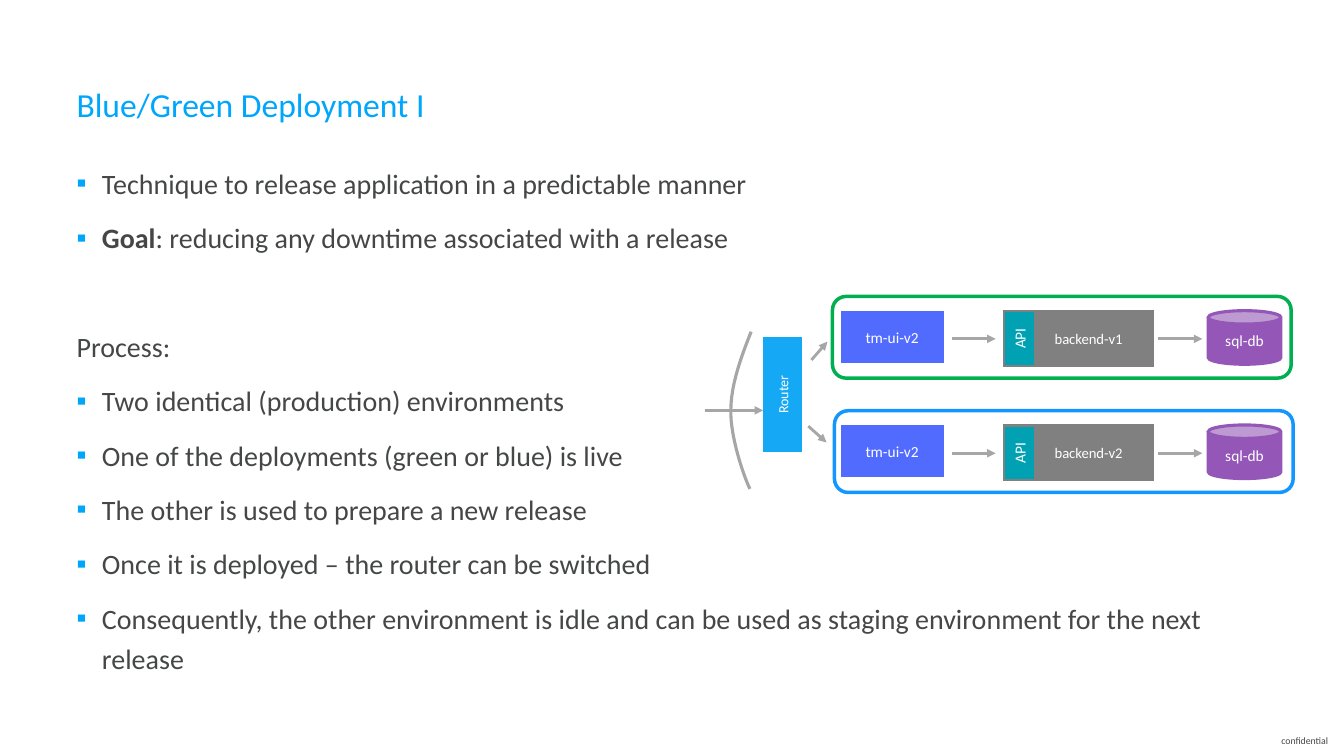
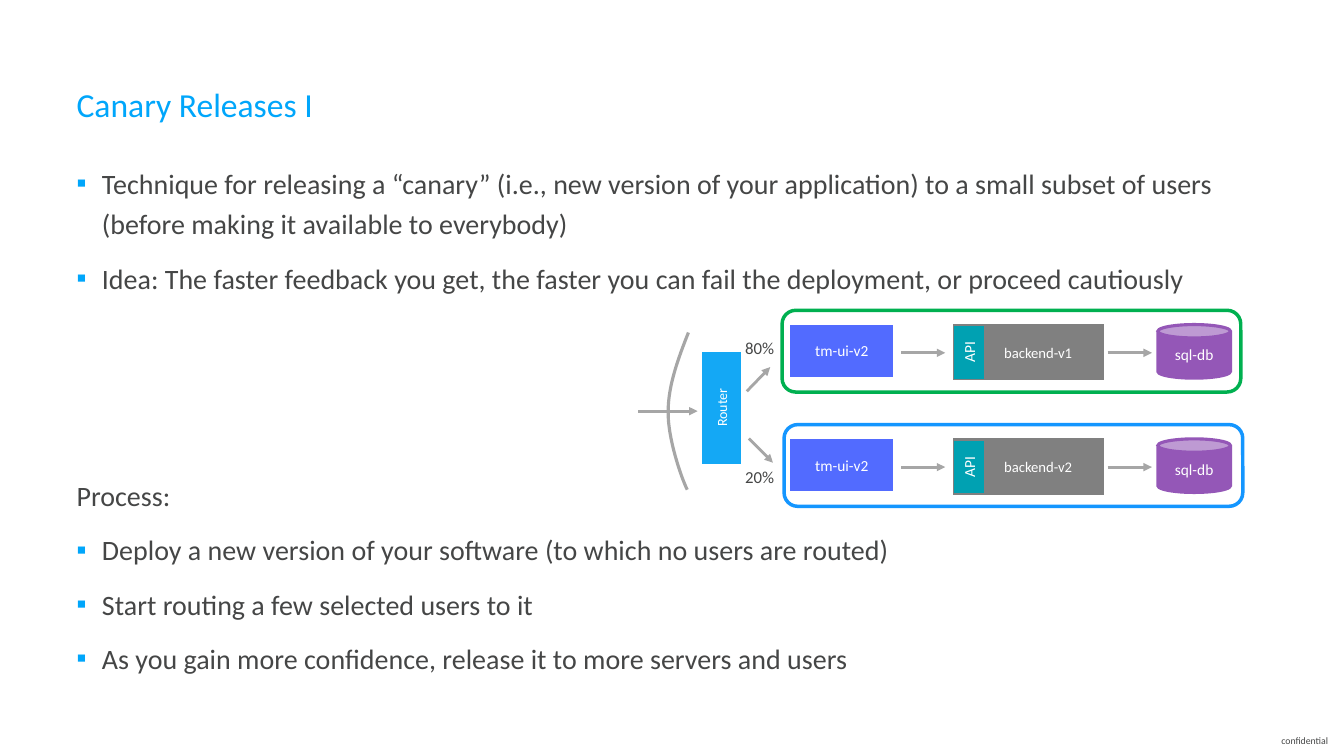
from lxml.etree import SubElement
from pptx import Presentation
from pptx.dml.color import RGBColor
from pptx.enum.shapes import MSO_CONNECTOR, MSO_SHAPE as Shape
from pptx.enum.text import MSO_ANCHOR as Anchor, PP_ALIGN as Align
from pptx.oxml.ns import qn
from pptx.util import Cm, Pt

FONT = "Calibri"
TITLE_BLUE = RGBColor(0x00, 0xA6, 0xFB)
TEXT_GREY = RGBColor(0x45, 0x46, 0x46)
WHITE = RGBColor(0xFF, 0xFF, 0xFF)
ARROW_GREY = RGBColor(0xA6, 0xA6, 0xA6)
BACKEND_GREY = RGBColor(0x80, 0x80, 0x80)
UI_BLUE = RGBColor(0x52, 0x6B, 0xFF)
API_TEAL = RGBColor(0x00, 0xA1, 0xB2)
DATABASE_PURPLE = RGBColor(0x94, 0x57, 0xB7)
ROUTER_BLUE = RGBColor(0x14, 0xA8, 0xF5)
GREEN_FRAME = RGBColor(0x00, 0xB0, 0x50)
BLUE_FRAME = RGBColor(0x14, 0x96, 0xFF)

# All positions and boxes below are in centimetres.
TITLE_BOX = (1.93, 1.59, 29.94, 1.85)
BODY_BOX = (1.93, 4.03, 29.94, 12.7)
FOOTER_BOX = (31.9, 18.54, 1.96, 0.25)
ENVIRONMENT_PITCH = 2.88
PARAGRAPH_GAP = 10
BODY_ROW = 38.8  # points from one body paragraph to the next
ROUTER_WALL = [
    [(0.51, 0), (0.25, 0.66), (0, 1.34), (0, 1.98)],
    [(0, 1.98), (-0.02, 2.64), (0.33, 3.66), (0.48, 3.96)],
]


def write(paragraph, text, size=20, color=TEXT_GREY, bold=False):
    """Add one formatted run to a paragraph."""
    run = paragraph.add_run()
    run.text = text
    font = run.font
    font.name, font.size, font.bold = FONT, Pt(size), bold
    font.color.rgb = color


def add_text_frame(slide, box, anchor=Anchor.TOP):
    """Add a wrapping text box without insets and return its frame."""
    frame = slide.shapes.add_textbox(*map(Cm, box)).text_frame
    frame.word_wrap = True
    frame.vertical_anchor = anchor
    frame.margin_left = frame.margin_top = 0
    frame.margin_right = frame.margin_bottom = 0
    return frame


def add_label(slide, box, text, anchor=Anchor.TOP, align=Align.LEFT,
              line_spacing=1.2, **style):
    """Add a single paragraph of text in a box."""
    paragraph = add_text_frame(slide, box, anchor).paragraphs[0]
    paragraph.alignment = align
    paragraph.line_spacing = line_spacing
    write(paragraph, text, **style)


def add_bullet(paragraph):
    """Give a paragraph a hanging square bullet."""
    properties = paragraph._p.get_or_add_pPr()
    properties.set("marL", str(Cm(0.64)))
    properties.set("indent", str(-Cm(0.64)))
    color = SubElement(properties, qn("a:buClr"))
    SubElement(color, qn("a:srgbClr")).set("val", str(TITLE_BLUE))
    SubElement(properties, qn("a:buFont")).set("typeface", FONT)
    SubElement(properties, qn("a:buChar")).set("char", "▪")


def add_body(slide, box, points, steps, gap_rows):
    """Write the points, then the process steps after a gap of some rows."""
    frame = add_text_frame(slide, box)
    for index, item in enumerate([*points, "Process:", *steps]):
        is_heading = index == len(points)
        paragraph = frame.paragraphs[0] if index == 0 else frame.add_paragraph()
        paragraph.line_spacing = 1.2
        extra = gap_rows * BODY_ROW if is_heading else 0
        paragraph.space_before = Pt(PARAGRAPH_GAP + extra)
        if not is_heading:
            add_bullet(paragraph)
        lead, rest = item if isinstance(item, tuple) else ("", item)
        if lead:
            write(paragraph, lead, bold=True)
        write(paragraph, rest)


def add_block(slide, kind, box, text, color, size=11, turned=False, indent=0.25):
    """Add a filled shape with a centred label, optionally reading upwards."""
    left, top, width, height = box
    if turned:
        left += (width - height) / 2
        top += (height - width) / 2
        width, height = height, width
    shape = slide.shapes.add_shape(kind, *map(Cm, (left, top, width, height)))
    shape.shadow.inherit = False
    shape.rotation = 270 if turned else 0
    shape.fill.solid()
    shape.fill.fore_color.rgb = shape.line.color.rgb = color
    shape.line.width = Pt(2.25)
    SubElement(shape.line._get_or_add_ln(), qn("a:miter")).set("lim", "800000")
    frame = shape.text_frame
    frame.vertical_anchor = Anchor.MIDDLE
    frame.margin_left = Cm(indent)
    frame.paragraphs[0].alignment = Align.CENTER
    write(frame.paragraphs[0], text, size=size, color=WHITE)


def add_arrow(slide, *ends):
    """Add a grey arrow from the first point to the second."""
    connector = slide.shapes.add_connector(MSO_CONNECTOR.STRAIGHT, *map(Cm, ends))
    connector.line.color.rgb = ARROW_GREY
    connector.line.width = Pt(2)
    SubElement(connector.line._get_or_add_ln(), qn("a:tailEnd")).set("type", "triangle")
    SubElement(connector._element.spPr, qn("a:effectLst"))


def curve_point(controls, position):
    """Return the point of a cubic curve at a position from 0 to 1."""
    rest = 1 - position
    weights = (rest ** 3, 3 * rest ** 2 * position, 3 * rest * position ** 2, position ** 3)
    return [sum(w * value for w, value in zip(weights, axis)) for axis in zip(*controls)]


def add_router_wall(slide, left, top):
    """Draw the curved line that users pass on the way to the router."""
    points = [curve_point(controls, step / 16)
              for controls in ROUTER_WALL for step in range(17)]
    points = [(Cm(left + x), Cm(top + y)) for x, y in points]
    builder = slide.shapes.build_freeform(*points[0])
    builder.add_line_segments(points[1:], close=False)
    wall = builder.convert_to_shape()
    wall.shadow.inherit = False
    wall.fill.background()
    wall.line.color.rgb = ARROW_GREY
    wall.line.width = Pt(2.25)


def add_gateway(slide, origin, router, entry, branches):
    """Place the wall, router and traffic arrows relative to the origin."""
    left, top = origin
    add_router_wall(slide, left, top)
    router_left, router_top, width, height = router
    add_block(slide, Shape.RECTANGLE, (left + router_left, top + router_top, width, height),
              "Router", ROUTER_BLUE, size=10, turned=True)
    for x1, y1, x2, y2 in [(entry[0], 1.98, entry[1], 1.98), *branches]:
        add_arrow(slide, left + x1, top + y1, left + x2, top + y2)


def add_environment(slide, left, top, version, color, frame_shift=0):
    """Draw one framed chain of user interface, backend and database."""
    def place(x, y, width, height):
        return left + x, top + y, width, height

    add_block(slide, Shape.RECTANGLE, place(0.25, 0.4, 2.51, 1.24), "tm-ui-v2", UI_BLUE)
    add_block(slide, Shape.RECTANGLE, place(4.34, 0.38, 3.73, 1.35),
              f"backend-{version}", BACKEND_GREY, size=10.5, indent=0.75)
    add_block(slide, Shape.RECTANGLE, place(4.38, 0.44, 0.66, 1.24), "API", API_TEAL, turned=True)
    add_block(slide, Shape.CAN, place(9.47, 0.36, 1.83, 1.35), "sql-db", DATABASE_PURPLE)
    for start, end in [(3, 4.11), (8.2, 9.32)]:
        add_arrow(slide, left + start, top + 1.07, left + end, top + 1.07)
    frame = slide.shapes.add_shape(Shape.ROUNDED_RECTANGLE,
                                   *map(Cm, place(frame_shift, 0, 11.56, 2.06)))
    frame.shadow.inherit = False
    frame.fill.background()
    frame.line.color.rgb = color
    frame.line.width = Pt(2.5)


def add_environments(slide, left, top):
    """Stack the green and the blue environment."""
    add_environment(slide, left, top, "v1", GREEN_FRAME)
    add_environment(slide, left, top + ENVIRONMENT_PITCH, "v2", BLUE_FRAME, frame_shift=0.05)


def add_topic_slide(presentation, title, points, steps, gap_rows):
    """Add a slide with footer, title and body text."""
    slide = presentation.slides.add_slide(presentation.slide_layouts[6])
    add_label(slide, FOOTER_BOX, "confidential", Anchor.MIDDLE, Align.CENTER,
              line_spacing=1.0, size=7)
    add_label(slide, TITLE_BOX, title, Anchor.MIDDLE, size=24, color=TITLE_BLUE)
    add_body(slide, BODY_BOX, points, steps, gap_rows)
    return slide


def add_blue_green_slide(presentation):
    """Add the slide on blue/green deployment."""
    slide = add_topic_slide(
        presentation, "Blue/Green Deployment I",
        ["Technique to release application in a predictable manner",
         ("Goal", ": reducing any downtime associated with a release")],
        ["Two identical (production) environments",
         "One of the deployments (green or blue) is live",
         "The other is used to prepare a new release",
         "Once it is deployed – the router can be switched",
         "Consequently, the other environment is idle and can be used as "
         "staging environment for the next release"],
        gap_rows=1)
    add_gateway(slide, (18.42, 8.36), router=(0.86, 0.17, 0.89, 2.82), entry=(-0.66, 0.81),
                branches=[(2.03, 0.71, 2.43, 0.25), (1.95, 2.38, 2.41, 2.79)])
    add_environments(slide, 20.98, 7.47)


def add_canary_slide(presentation):
    """Add the slide on canary releases with its traffic shares."""
    slide = add_topic_slide(
        presentation, "Canary Releases I",
        ["Technique for releasing a “canary” (i.e., new version of your application) "
         "to a small subset of users (before making it available to everybody)",
         "Idea: The faster feedback you get, the faster you can fail the deployment, "
         "or proceed cautiously"],
        ["Deploy a new version of your software (to which no users are routed)",
         "Start routing a few selected users to it",
         "As you gain more confidence, release it to more servers and users"],
        gap_rows=3)
    add_gateway(slide, (16.84, 8.38), router=(0.9, 0.52, 0.89, 2.74), entry=(-0.76, 0.74),
                branches=[(1.98, 1.48, 2.57, 0.87), (2.03, 2.67, 2.64, 3.28)])
    add_environments(slide, 19.71, 7.82)
    for share, top in [("80%", 8.41), ("20%", 11.66)]:
        add_label(slide, (18.78, top, 2.54, 1.15), share, size=12)


def main():
    """Build and save the presentation."""
    presentation = Presentation()
    presentation.slide_width, presentation.slide_height = Cm(33.87), Cm(19.05)
    add_blue_green_slide(presentation)
    add_canary_slide(presentation)
    presentation.save("out.pptx")


main()
